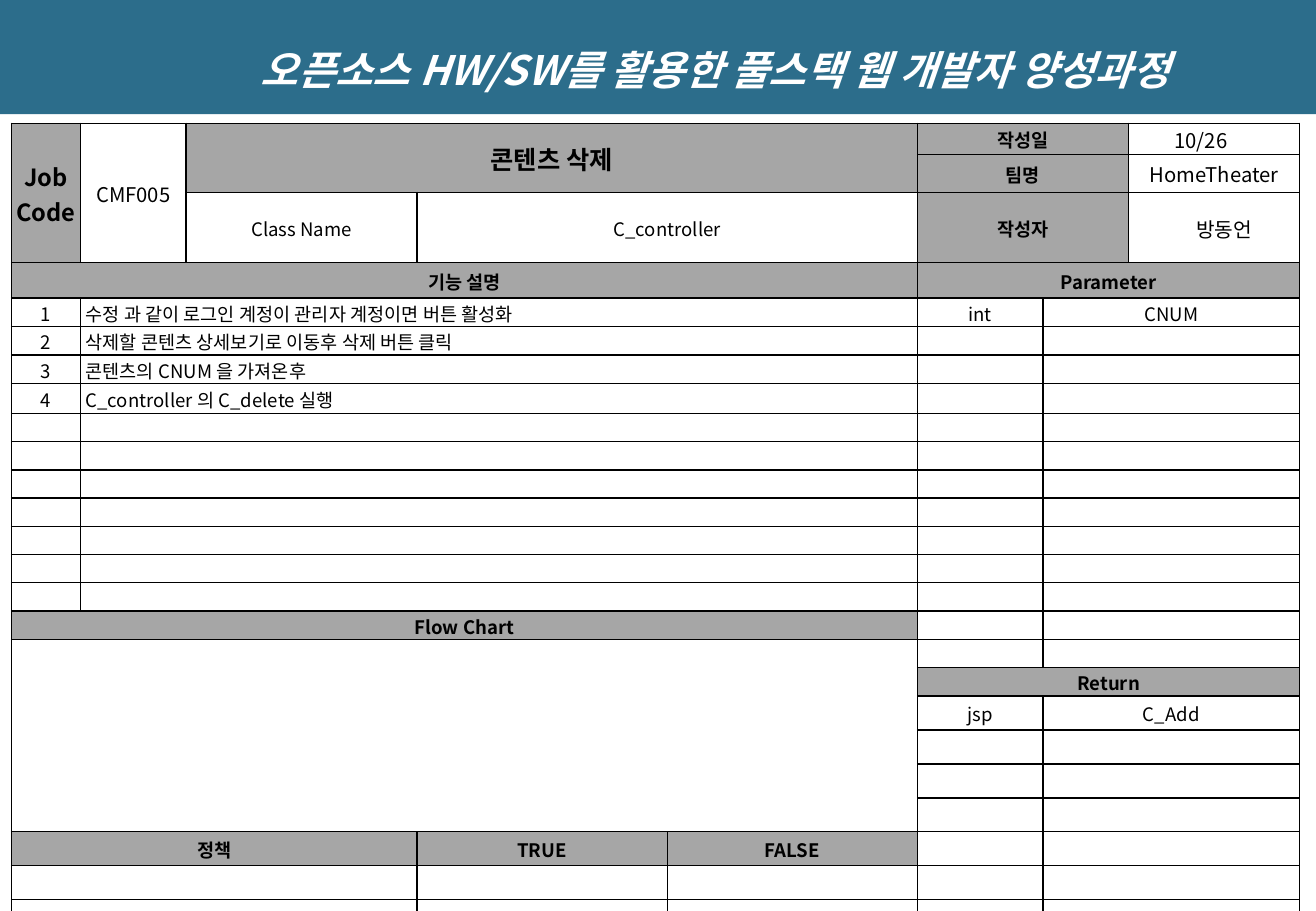
"""Build the job sheet slide for the content deletion function."""
import dataclasses

import lxml.etree
import pptx
import pptx.dml.color
import pptx.enum.text
import pptx.oxml.ns
import pptx.util

Cm = pptx.util.Cm
ALIGN = pptx.enum.text.PP_ALIGN
MIDDLE = pptx.enum.text.MSO_ANCHOR.MIDDLE
BLACK = pptx.dml.color.RGBColor(0x00, 0x00, 0x00)
WHITE = pptx.dml.color.RGBColor(0xFF, 0xFF, 0xFF)
GRAY = pptx.dml.color.RGBColor(0xA6, 0xA6, 0xA6)
TEAL = pptx.dml.color.RGBColor(0x2C, 0x6D, 0x8B)
FONT = "Noto Sans CJK KR"
INSET = 0.03

COLS = [1.44, 2.21, 4.83, 5.23, 5.23, 2.62, 1.79, 3.58]
ROWS = [0.61] * 3 + [0.74] + [0.59] * 3 + [0.63] + [0.59] * 10 + [0.71] * 7
STEPS = [
    "수정 과 같이 로그인 계정이 관리자 계정이면 버튼 활성화",
    "삭제할 콘텐츠 상세보기로 이동후 삭제 버튼 클릭",
    "콘텐츠의 CNUM 을 가져온후",
    "C_controller 의 C_delete 실행",
]


@dataclasses.dataclass
class Entry:
    """One filled cell, with its span and format."""
    row: int
    col: int
    text: str
    rows: int = 1
    cols: int = 1
    size: float = 11
    header: bool = False
    align: ALIGN = ALIGN.CENTER
    left: float = INSET
    right: float = INSET


ENTRIES = [
    Entry(0, 0, "Job\vCode", rows=3, size=14, header=True),
    Entry(0, 1, "CMF005", rows=3, size=12),
    Entry(0, 2, "콘텐츠 삭제", rows=2, cols=3, size=15, header=True),
    Entry(0, 5, "작성일", cols=2, header=True),
    Entry(0, 7, "10/26", size=12, right=0.58),
    Entry(1, 5, "팀명", cols=2, header=True),
    Entry(1, 7, "HomeTheater", size=12),
    Entry(2, 2, "Class Name"),
    Entry(2, 3, "C_controller", cols=2),
    Entry(2, 5, "작성자", cols=2, header=True),
    Entry(2, 7, "방동언", size=12, left=0.45),
    Entry(3, 0, "기능 설명", cols=5, header=True),
    Entry(3, 5, "Parameter", cols=3, header=True),
    Entry(4, 5, "int"),
    Entry(4, 6, "CNUM"),
    Entry(15, 0, "Flow Chart", cols=5, header=True),
    Entry(17, 5, "Return", cols=3, header=True),
    Entry(18, 5, "jsp"),
    Entry(18, 6, "C_Add"),
    Entry(22, 0, "정책", cols=3, header=True),
    Entry(22, 3, "TRUE", header=True),
    Entry(22, 4, "FALSE", header=True),
]
for number, step in enumerate(STEPS, 1):
    ENTRIES.append(Entry(3 + number, 0, str(number)))
    ENTRIES.append(Entry(3 + number, 1, step, align=ALIGN.LEFT, left=0.11))


def add_element(parent: lxml.etree._Element, tag: str, **attrs: str) -> lxml.etree._Element:
    """Append a DrawingML element."""
    return lxml.etree.SubElement(parent, pptx.oxml.ns.qn(tag), attrs)


def write_text(p, text: str, *, size: float, color=BLACK, bold: bool = False,
               italic: bool = False, align: ALIGN = ALIGN.CENTER) -> None:
    """Fill a paragraph with formatted text."""
    p.text = text
    p.alignment = align
    for r in p.runs:
        r.font.size = pptx.util.Pt(size)
        r.font.bold = bold
        r.font.italic = italic
        r.font.color.rgb = color
        r.font.name = FONT
        add_element(r.font._element, "a:ea", typeface=FONT)


def format_empty(cell) -> None:
    """Give a cell its border, fill, insets and empty-line size."""
    tc_pr = cell._tc.get_or_add_tcPr()
    for side in "LRTB":
        ln = add_element(tc_pr, f"a:ln{side}", w="12700")
        add_element(add_element(ln, "a:solidFill"), "a:srgbClr", val=str(BLACK))
    cell.fill.solid()
    cell.fill.fore_color.rgb = WHITE
    cell.vertical_anchor = MIDDLE
    cell.margin_left = cell.margin_right = cell.margin_top = Cm(INSET)
    cell.margin_bottom = 0
    add_element(cell.text_frame.paragraphs[0]._p, "a:endParaRPr", sz="1100")


def write_entry(table, entry: Entry) -> None:
    """Write one entry into its cell."""
    cell = table.cell(entry.row, entry.col)
    if entry.rows > 1 or entry.cols > 1:
        cell.merge(table.cell(entry.row + entry.rows - 1, entry.col + entry.cols - 1))
    cell.fill.fore_color.rgb = GRAY if entry.header else WHITE
    cell.margin_left = Cm(entry.left)
    cell.margin_right = Cm(entry.right)
    write_text(cell.text_frame.paragraphs[0], entry.text, size=entry.size,
               bold=entry.header, align=entry.align)


def add_job_sheet(s) -> None:
    """Add the job sheet table."""
    frame = s.shapes.add_table(len(ROWS), len(COLS), Cm(0.24), Cm(2.58),
                               Cm(sum(COLS)), Cm(sum(ROWS)))
    table = frame.table
    table.first_row = table.horz_banding = False
    for column, width in zip(table.columns, COLS):
        column.width = Cm(width)
    for row, height in zip(table.rows, ROWS):
        row.height = Cm(height)
    for cell in table.iter_cells():
        format_empty(cell)
    for row in range(4, 15):
        table.cell(row, 1).merge(table.cell(row, 4))
    for row in [*range(4, 17), *range(18, 25)]:
        table.cell(row, 6).merge(table.cell(row, 7))
    for row in (23, 24):
        table.cell(row, 0).merge(table.cell(row, 2))
    table.cell(16, 0).merge(table.cell(21, 4))
    for entry in ENTRIES:
        write_entry(table, entry)


def add_title(s, width: int) -> None:
    """Format the title placeholder as the banner."""
    sp = s.shapes.title
    sp.left, sp.top, sp.width, sp.height = 0, 0, width, Cm(2.39)
    sp.fill.solid()
    sp.fill.fore_color.rgb = TEAL
    sp.line.fill.background()
    tf = sp.text_frame
    tf.auto_size = pptx.enum.text.MSO_AUTO_SIZE.NONE
    tf.word_wrap = True
    tf.vertical_anchor = MIDDLE
    tf.margin_left = Cm(2.64)
    p = tf.paragraphs[0]
    p.line_spacing = 1.5
    write_text(p, "오픈소스 HW/SW를 활용한 풀스택 웹 개발자 양성과정", size=24,
               color=WHITE, bold=True, italic=True)


def main() -> None:
    """Build and save the slide."""
    prs = pptx.Presentation()
    prs.slide_width, prs.slide_height = Cm(27.51), Cm(19.05)
    s = prs.slides.add_slide(prs.slide_layouts[5])
    add_title(s, prs.slide_width)
    add_job_sheet(s)
    prs.save("out.pptx")


if __name__ == "__main__":
    main()
